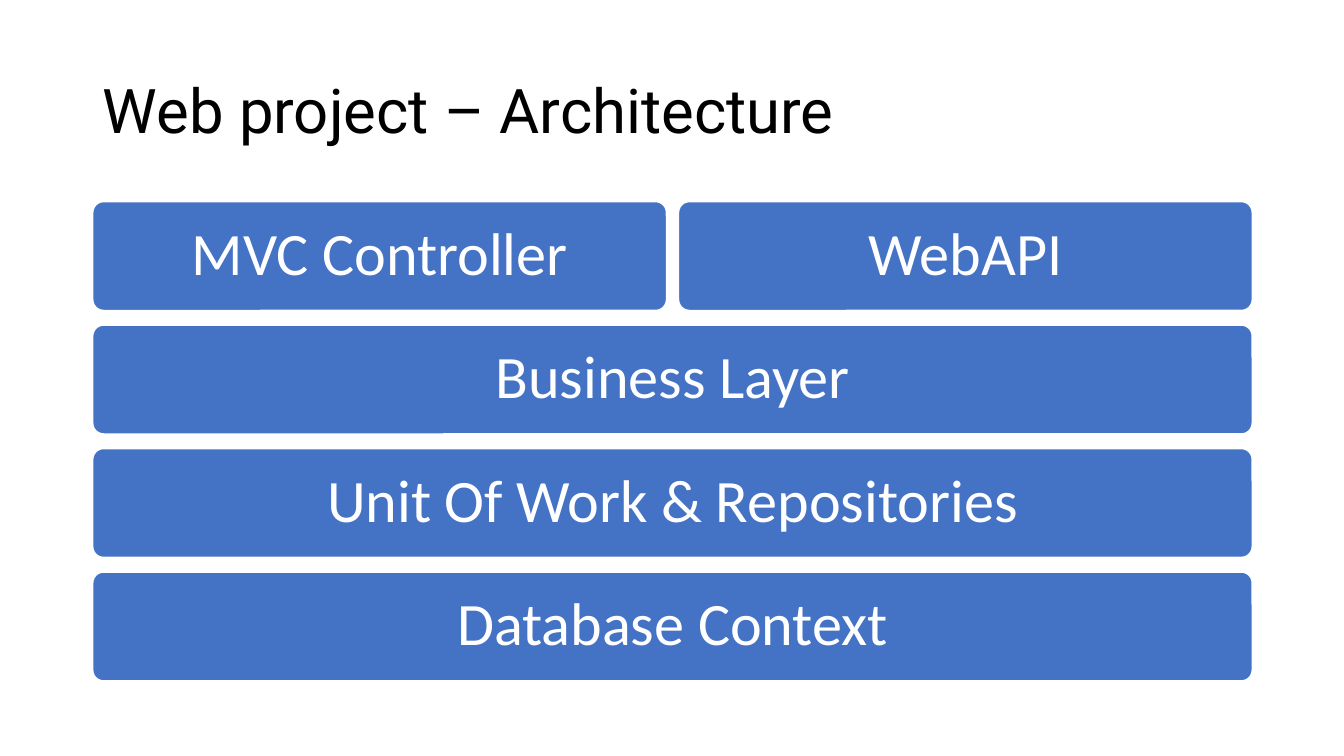
import pptx
import pptx.util
import pptx.dml.color
import pptx.enum.shapes
import pptx.enum.text

COLORS = {"layer": "4472C4", "edge": "FFFFFF", "label": "FFFFFF", "title": "000000"}
LEFT, TOP, WIDTH = 0.92, 2.0, 11.5
ROW_HEIGHT, ROW_STEP, COLUMN_GAP = 1.08, 1.225, 0.12
LAYERS = [
    ["MVC Controller", "WebAPI"],
    ["Business Layer"],
    ["Unit Of Work & Repositories"],
    ["Database Context"],
]


def color(name):
    return pptx.dml.color.RGBColor.from_string(COLORS[name])


def write(frame, text, font_name, size, color_name, alignment):
    frame.text = text
    frame.word_wrap = True
    frame.auto_size = pptx.enum.text.MSO_AUTO_SIZE.NONE
    frame.vertical_anchor = pptx.enum.text.MSO_ANCHOR.MIDDLE
    paragraph = frame.paragraphs[0]
    paragraph.alignment = alignment
    paragraph.line_spacing = 0.9
    font = paragraph.runs[0].font
    font.name = font_name
    font.size = pptx.util.Pt(size)
    font.color.rgb = color(color_name)


deck = pptx.Presentation()
deck.slide_width = pptx.util.Inches(13.33)
deck.slide_height = pptx.util.Inches(7.5)
slide = deck.slides.add_slide(deck.slide_layouts[5])

title = slide.shapes.title
title.left, title.top = pptx.util.Inches(LEFT), pptx.util.Inches(0.4)
title.width, title.height = pptx.util.Inches(WIDTH), pptx.util.Inches(1.45)
write(title.text_frame, "Web project – Architecture", "Roboto", 44, "title",
      pptx.enum.text.PP_ALIGN.LEFT)

for row, components in enumerate(LAYERS):
    width = (WIDTH - COLUMN_GAP * (len(components) - 1)) / len(components)
    for column, component in enumerate(components):
        block = slide.shapes.add_shape(
            pptx.enum.shapes.MSO_SHAPE.ROUNDED_RECTANGLE,
            pptx.util.Inches(LEFT + column * (width + COLUMN_GAP)),
            pptx.util.Inches(TOP + row * ROW_STEP),
            pptx.util.Inches(width),
            pptx.util.Inches(ROW_HEIGHT),
        )
        block.adjustments[0] = 0.1
        block.shadow.inherit = False
        block.fill.solid()
        block.fill.fore_color.rgb = color("layer")
        block.line.color.rgb = color("edge")
        block.line.width = pptx.util.Pt(1)
        frame = block.text_frame
        frame.margin_left = frame.margin_right = pptx.util.Inches(0.18)
        frame.margin_top = frame.margin_bottom = pptx.util.Inches(0.18)
        write(frame, component, "Calibri", 43, "label", pptx.enum.text.PP_ALIGN.CENTER)

deck.save("out.pptx")
